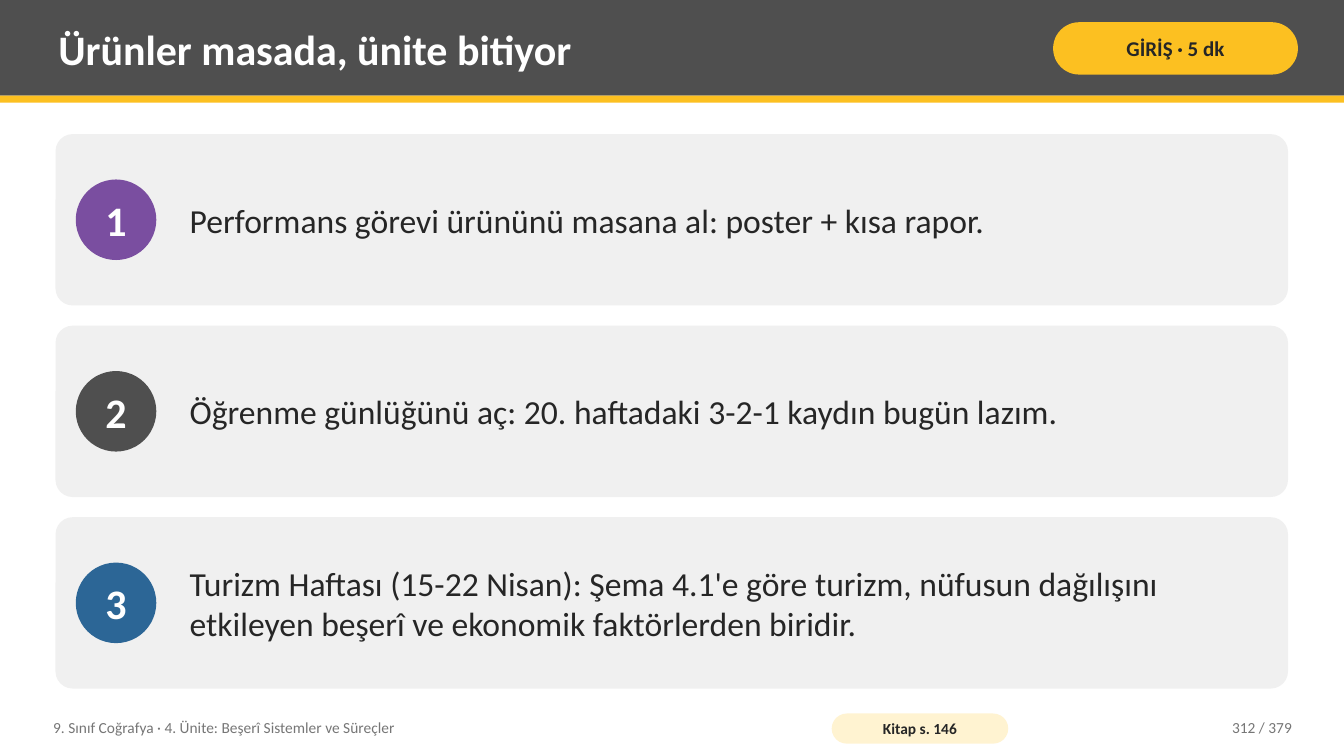
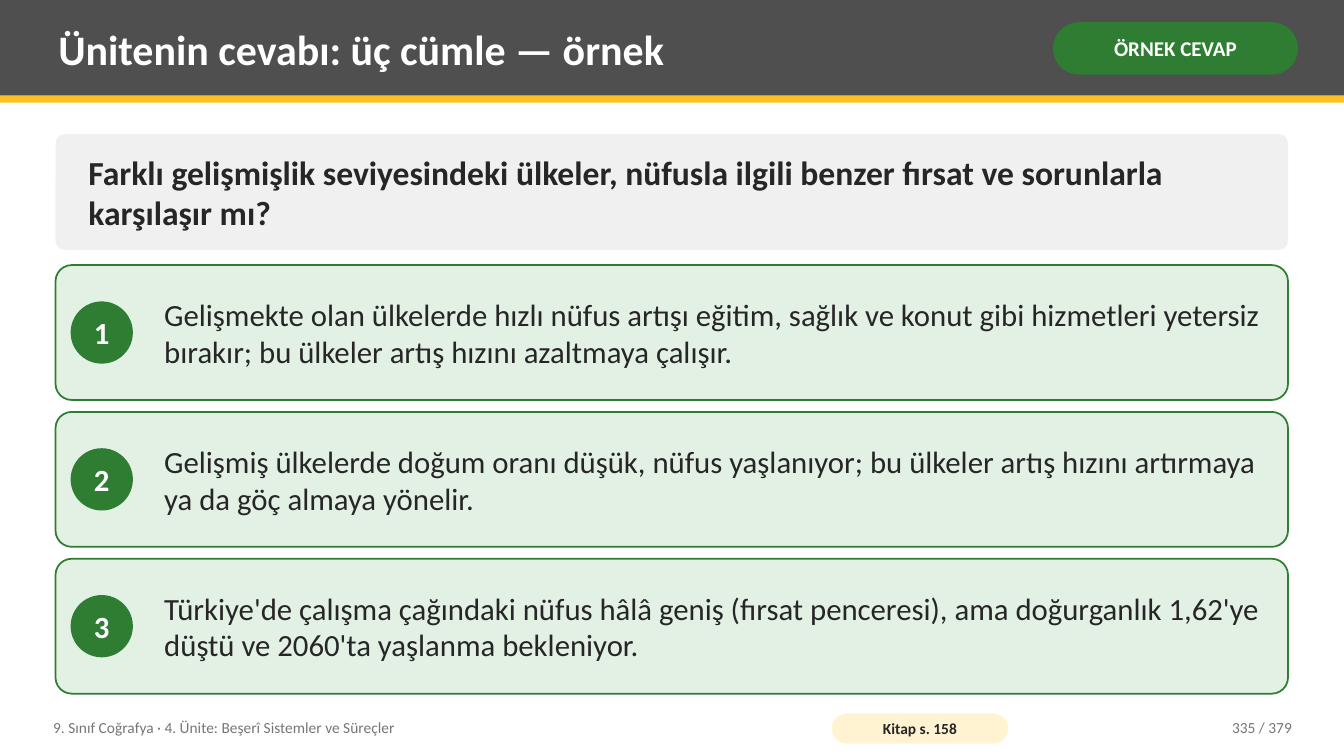
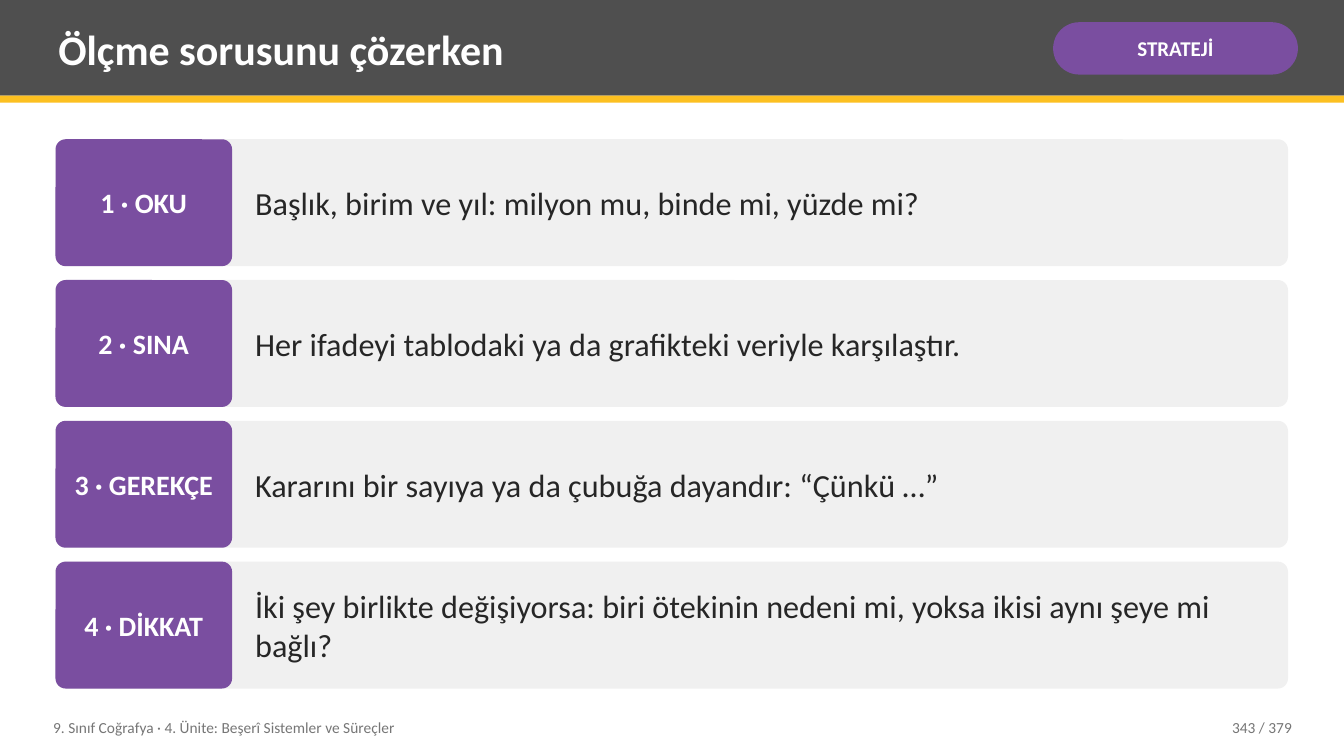
from pptx import Presentation
from pptx.dml.color import RGBColor
from pptx.enum.shapes import MSO_SHAPE
from pptx.enum.text import MSO_ANCHOR, PP_ALIGN
from pptx.util import Cm, Pt

RECT, ROUND, OVAL = MSO_SHAPE.RECTANGLE, MSO_SHAPE.ROUNDED_RECTANGLE, MSO_SHAPE.OVAL
LEFT, CENTER, RIGHT = PP_ALIGN.LEFT, PP_ALIGN.CENTER, PP_ALIGN.RIGHT
MIDDLE = MSO_ANCHOR.MIDDLE

FONT = "Calibri"
WHITE, INK, MUTED = "FFFFFF", "262626", "767676"
GRAY, PANEL = "4F4F4F", "F0F0F0"
YELLOW, CREAM = "FCC021", "FFF3D1"
PURPLE, BLUE = "7A4EA0", "2C6696"
GREEN, MINT = "2E7D32", "E3F1E4"

WIDTH, HEIGHT = 33.87, 19.05
MARGIN, BODY_W, BODY_TOP = 1.4, 31.06, 3.38
UNIT = "9. Sınıf Coğrafya · 4. Ünite: Beşerî Sistemler ve Süreçler"
PAGES = 379


def rgb(color):
    """Turn a hex string into a colour."""
    return RGBColor.from_string(color)


def write(sp, text, size, color=INK, bold=False, align=LEFT, insets=(0.2, 0.1), wrap=True):
    """Write one vertically centred paragraph into a shape."""
    tf = sp.text_frame
    tf.word_wrap = wrap
    tf.vertical_anchor = MIDDLE
    tf.margin_left = tf.margin_right = Cm(insets[0])
    tf.margin_top = tf.margin_bottom = Cm(insets[1])
    p = tf.paragraphs[0]
    p.alignment = align
    r = p.add_run()
    r.text = text
    r.font.name, r.font.size, r.font.bold = FONT, Pt(size), bold
    r.font.color.rgb = rgb(color)


def add_text(s, box, text, size, **style):
    """Add a text box; box is left, top, width, height in cm."""
    write(s.shapes.add_textbox(*map(Cm, box)), text, size, **style)


def add_box(s, kind, box, fill, radius=None, line=None):
    """Add a flat filled shape and return it."""
    sp = s.shapes.add_shape(kind, *map(Cm, box))
    sp.shadow.inherit = False
    sp.fill.solid()
    sp.fill.fore_color.rgb = rgb(fill)
    if radius is not None:
        sp.adjustments[0] = radius
    if line:
        sp.line.color.rgb = rgb(line)
        sp.line.width = Pt(1.25)
    else:
        sp.line.fill.background()
    return sp


def split_rows(top, height, count, gap):
    """Return equal full-width boxes stacked in the body."""
    row_h = (height - gap * (count - 1)) / count
    return [(MARGIN, top + i * (row_h + gap), BODY_W, row_h) for i in range(count)]


def add_header(s, title, badge, badge_fill, badge_color):
    """Draw the title band, its stripe and the badge."""
    add_box(s, RECT, (0, 0, WIDTH, 2.41), GRAY)
    add_box(s, RECT, (0, 2.41, WIDTH, 0.18), YELLOW)
    add_text(s, (1.27, 0.18, 24.77, 2.08), title, 30, color=WHITE, bold=True)
    sp = add_box(s, ROUND, (26.54, 0.56, 6.17, 1.32), badge_fill, 0.5)
    write(sp, badge, 15, badge_color, True, CENTER, (0.13, 0.05))


def add_footer(s, page, book_page):
    """Draw the unit name, the optional book page and the page number."""
    add_text(s, (1.14, 17.88, 19.3, 0.91), UNIT, 11, color=MUTED)
    if book_page:
        sp = add_box(s, ROUND, (20.96, 17.98, 4.45, 0.76), CREAM, 0.5)
        write(sp, f"Kitap s. {book_page}", 11, INK, True, CENTER, (0.1, 0))
    add_text(s, (28.7, 17.88, 4.06, 0.91), f"{page} / {PAGES}", 11, color=MUTED, align=RIGHT)


def new_slide(prs, title, badge, badge_fill, page, book_page=None, badge_color=WHITE):
    """Add a blank slide with the shared header and footer."""
    s = prs.slides.add_slide(prs.slide_layouts[6])
    add_header(s, title, badge, badge_fill, badge_color)
    add_footer(s, page, book_page)
    return s


def add_numbered_card(s, box, number, text, color, disc, inset, text_left, sizes,
                      fill=PANEL, radius=0.1, line=None):
    """Draw a card with a numbered disc at the left of its text."""
    x, y, w, h = box
    add_box(s, ROUND, box, fill, radius, line)
    sp = add_box(s, OVAL, (x + inset, y + (h - disc) / 2, disc, disc), color)
    write(sp, str(number), sizes[0], WHITE, True, CENTER, (0, 0), False)
    add_text(s, (x + text_left, y + 0.1, w - text_left - 0.38, h - 0.2), text, sizes[1])


def add_labelled_row(s, box, label, text):
    """Draw a row with a purple label block at the left of its text."""
    x, y, w, h = box
    add_box(s, ROUND, box, PANEL, 0.08)
    sp = add_box(s, ROUND, (x, y, 4.45, h), PURPLE, 0.08)
    write(sp, label, 20, WHITE, True, CENTER, (0.15, 0.2))
    add_text(s, (x + 4.83, y, w - 5.08, h), text, 23)


def build_intro(prs):
    """Build the lesson opening with three steps."""
    s = new_slide(prs, "Ürünler masada, ünite bitiyor", "GİRİŞ · 5 dk", YELLOW, 312, 146, INK)
    steps = [
        (PURPLE, "Performans görevi ürününü masana al: poster + kısa rapor."),
        (GRAY, "Öğrenme günlüğünü aç: 20. haftadaki 3-2-1 kaydın bugün lazım."),
        (BLUE, "Turizm Haftası (15-22 Nisan): Şema 4.1'e göre turizm, nüfusun dağılışını "
               "etkileyen beşerî ve ekonomik faktörlerden biridir."),
    ]
    boxes = split_rows(BODY_TOP, 13.97, len(steps), 0.51)
    for i, (box, (color, text)) in enumerate(zip(boxes, steps), 1):
        add_numbered_card(s, box, i, text, color, 2.03, 0.51, 3.18, (30, 24))


def build_answer(prs):
    """Build the question with its three-sentence sample answer."""
    s = new_slide(prs, "Ünitenin cevabı: üç cümle — örnek", "ÖRNEK CEVAP", GREEN, 335, 158)
    question = add_box(s, ROUND, (MARGIN, BODY_TOP, BODY_W, 2.92), PANEL, 0.08)
    write(question, "Farklı gelişmişlik seviyesindeki ülkeler, nüfusla ilgili benzer fırsat ve "
          "sorunlarla karşılaşır mı?", 24, bold=True, insets=(0.76, 0.2))
    answers = [
        "Gelişmekte olan ülkelerde hızlı nüfus artışı eğitim, sağlık ve konut gibi hizmetleri "
        "yetersiz bırakır; bu ülkeler artış hızını azaltmaya çalışır.",
        "Gelişmiş ülkelerde doğum oranı düşük, nüfus yaşlanıyor; bu ülkeler artış hızını "
        "artırmaya ya da göç almaya yönelir.",
        "Türkiye'de çalışma çağındaki nüfus hâlâ geniş (fırsat penceresi), ama doğurganlık "
        "1,62'ye düştü ve 2060'ta yaşlanma bekleniyor.",
    ]
    boxes = split_rows(6.68, 10.8, len(answers), 0.3)
    for i, (box, text) in enumerate(zip(boxes, answers), 1):
        add_numbered_card(s, box, i, text, GREEN, 1.57, 0.38, 2.54, (22, 22), MINT, 0.12, GREEN)


def build_strategy(prs):
    """Build the four-step strategy for test questions."""
    s = new_slide(prs, "Ölçme sorusunu çözerken", "STRATEJİ", PURPLE, 343)
    steps = [
        ("OKU", "Başlık, birim ve yıl: milyon mu, binde mi, yüzde mi?"),
        ("SINA", "Her ifadeyi tablodaki ya da grafikteki veriyle karşılaştır."),
        ("GEREKÇE", "Kararını bir sayıya ya da çubuğa dayandır: “Çünkü …”"),
        ("DİKKAT", "İki şey birlikte değişiyorsa: biri ötekinin nedeni mi, yoksa ikisi aynı "
                   "şeye mi bağlı?"),
    ]
    boxes = split_rows(3.51, 13.84, len(steps), 0.35)
    for i, (box, (label, text)) in enumerate(zip(boxes, steps), 1):
        add_labelled_row(s, box, f"{i} · {label}", text)


def main():
    """Build and save the presentation."""
    prs = Presentation()
    prs.slide_width, prs.slide_height = Cm(WIDTH), Cm(HEIGHT)
    build_intro(prs)
    build_answer(prs)
    build_strategy(prs)
    prs.save("out.pptx")


if __name__ == "__main__":
    main()
